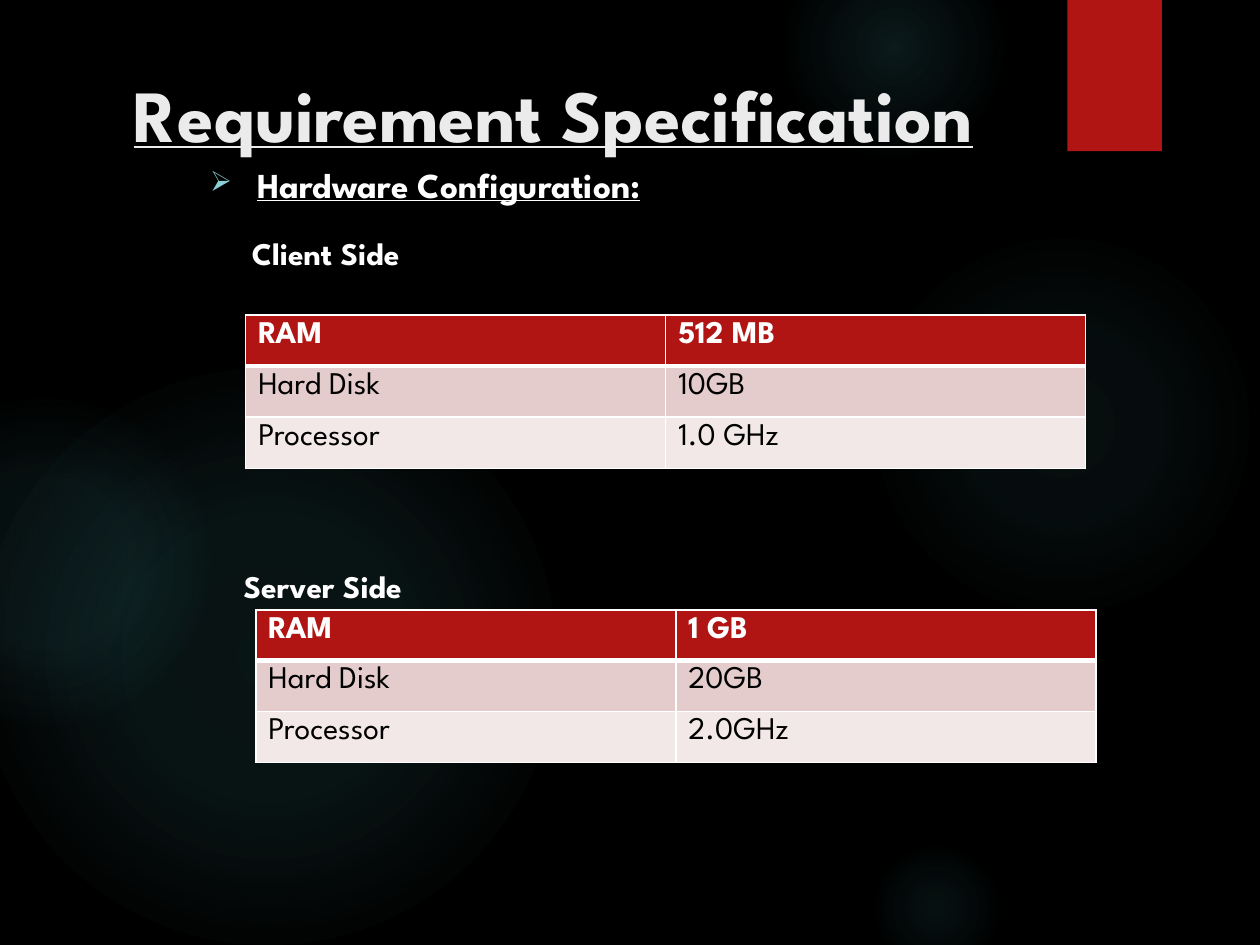
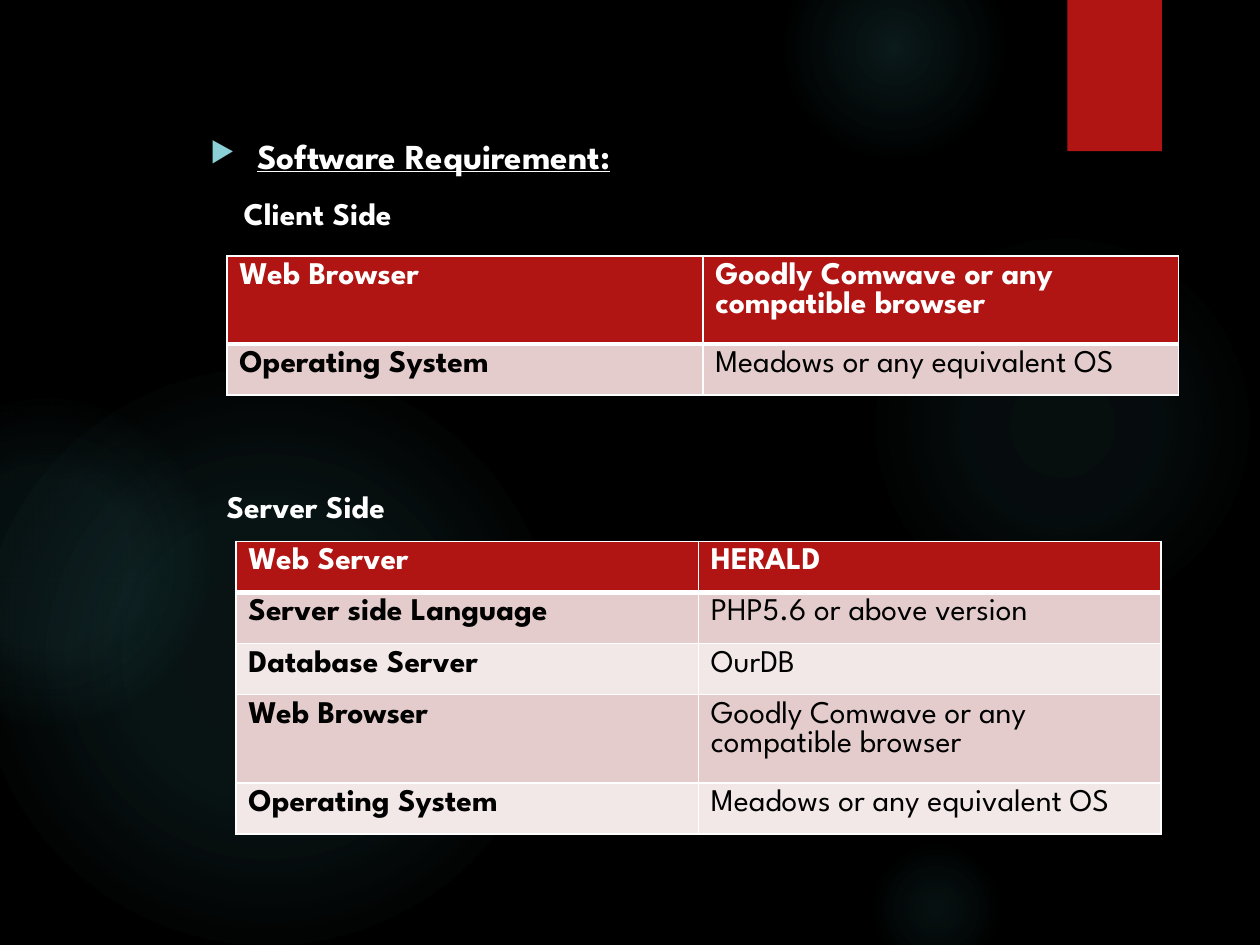
"""Build two slides that list hardware and software requirements in tables."""
from dataclasses import dataclass

from pptx import Presentation
from pptx.dml.color import RGBColor
from pptx.enum.shapes import MSO_SHAPE
from pptx.enum.text import MSO_ANCHOR, PP_ALIGN
from pptx.oxml import parse_xml
from pptx.oxml.ns import nsdecls
from pptx.util import Pt


@dataclass(frozen=True)
class Theme:
    font: str = "League Spartan"
    bullet_font: str = "OpenSymbol"
    background: str = "000000"
    glow: str = "50B9C1"
    accent: str = "B01513"
    title: str = "EBEBEB"
    light: str = "FFFFFF"
    dark: str = "000000"
    bullet: str = "8AD0D6"
    bands: tuple = ("F2E8E7", "E4CCCC")
    title_size: int = 42
    heading_size: int = 20
    text_size: int = 18


theme = Theme()


def style(font, size, color, bold=True, underline=None):
    font.name, font.size = theme.font, Pt(size)
    font.bold, font.underline = bold, underline
    font.color.rgb = RGBColor.from_string(color)


def add_text_box(page, left, top, width, height):
    box = page.shapes.add_textbox(Pt(left), Pt(top), Pt(width), Pt(height))
    frame = box.text_frame
    frame.word_wrap = True
    frame.vertical_anchor = MSO_ANCHOR.TOP
    return frame


glows = [
    (496, 132, 222, ((0, 7), (36, 6), (69, 0))),
    (448, -36, 126, ((0, 14), (36, 7), (73, 0))),
    (496, 480, 78, ((0, 9), (36, 5), (66, 0))),
    (-12, 210, 330, ((0, 11), (36, 10), (75, 0))),
    (-66, 228, 186, ((0, 8), (36, 8), (72, 0))),
]

row = 29.2
tall_row = 40.3
browser = "Goodly Comwave or any compatible browser"
system = "Meadows or any equivalent OS"

slides = [
    {
        "title": "Requirement Specification",
        "top": 90, "height": 402, "bullet": "➢",
        "heading": "Hardware Configuration:",
        "labels": [("Client Side", 23.8, 16), ("Server Side", 19.2, 169)],
        "bold_labels": False,
        "tables": [
            (146.2, 348.5, 240, (24, row, row),
             [("RAM", "1 GB"), ("Hard Disk", "20GB"), ("Processor", "2.0GHz")]),
            (140.4, 180, 240, (row, row, row),
             [("RAM", "512 MB"), ("Hard Disk", "10GB"), ("Processor", "1.0 GHz")]),
        ],
    },
    {
        "title": None,
        "top": 73.4, "height": 419, "bullet": "▶",
        "heading": "Software Requirement:",
        "labels": [("Client Side", 19.2, 10), ("Server Side", 9.5, 145.8)],
        "bold_labels": True,
        "tables": [
            (129.6, 146.2, 272, (tall_row, row),
             [("Web Browser", browser), ("Operating System", system)]),
            (134.8, 309.4, 264.3, (row, row, row, tall_row, row),
             [("Web Server", "HERALD"),
              ("Server side Language", "PHP5.6 or above version"),
              ("Database Server", "OurDB"),
              ("Web Browser", browser),
              ("Operating System", system)]),
        ],
    },
]

deck = Presentation()
deck.slide_width, deck.slide_height = Pt(720), Pt(540)
master_fill = deck.slide_master.background.fill
master_fill.solid()
master_fill.fore_color.rgb = RGBColor.from_string(theme.background)

for content in slides:
    page = deck.slides.add_slide(deck.slide_layouts[6])

    for left, top, size, stops in glows:
        glow = page.shapes.add_shape(MSO_SHAPE.OVAL, Pt(left), Pt(top), Pt(size), Pt(size))
        glow.shadow.inherit = False
        glow.line.fill.background()
        stop_xml = "".join(
            f'<a:gs pos="{position * 1000}"><a:srgbClr val="{theme.glow}">'
            f'<a:alpha val="{opacity * 1000}"/></a:srgbClr></a:gs>'
            for position, opacity in stops)
        gradient = parse_xml(
            f'<a:gradFill {nsdecls("a")}><a:gsLst>{stop_xml}</a:gsLst><a:path path="circle">'
            '<a:fillToRect l="50000" t="50000" r="50000" b="50000"/></a:path></a:gradFill>')
        glow.element.spPr.insert_element_before(gradient, "a:ln", "a:effectLst")

    ribbon = page.shapes.add_shape(MSO_SHAPE.RECTANGLE, Pt(610), Pt(0), Pt(54), Pt(86.4))
    ribbon.shadow.inherit = False
    ribbon.fill.solid()
    ribbon.fill.fore_color.rgb = RGBColor.from_string(theme.accent)
    ribbon.line.fill.background()

    if content["title"]:
        title = add_text_box(page, 38.2, 36, 555.8, 110.2).paragraphs[0]
        title.text = content["title"]
        title.alignment = PP_ALIGN.CENTER
        style(title.font, theme.title_size, theme.title, underline=True)

    body = add_text_box(page, 113, content["top"], 590.4, content["height"])
    heading = body.paragraphs[0]
    heading.text = content["heading"]
    properties = heading._p.get_or_add_pPr()
    properties.set("marL", str(Pt(27)))
    properties.set("indent", str(Pt(-27)))
    for bullet_xml in (
        f'<a:buClr {nsdecls("a")}><a:srgbClr val="{theme.bullet}"/></a:buClr>',
        f'<a:buSzPct {nsdecls("a")} val="80000"/>',
        f'<a:buFont {nsdecls("a")} typeface="{theme.bullet_font}"/>',
        f'<a:buChar {nsdecls("a")} char="{content["bullet"]}"/>',
    ):
        properties.append(parse_xml(bullet_xml))
    style(heading.font, theme.heading_size, theme.light, underline=True)

    for text, indent, gap in content["labels"]:
        label = body.add_paragraph()
        label.text = text
        label.space_before = Pt(gap)
        label._p.get_or_add_pPr().set("marL", str(Pt(indent)))
        style(label.font, theme.text_size, theme.light)

    for left, top, column_width, heights, rows in content["tables"]:
        table = page.shapes.add_table(
            len(rows), 2, Pt(left), Pt(top), Pt(2 * column_width), Pt(sum(heights))).table
        for column in table.columns:
            column.width = Pt(column_width)
        for row_index, values in enumerate(rows):
            table.rows[row_index].height = Pt(heights[row_index])
            is_header = row_index == 0
            fill_color = theme.accent if is_header else theme.bands[row_index % 2]
            text_color = theme.light if is_header else theme.dark
            widths = {"L": 1, "R": 1, "T": 3 if row_index == 1 else 1, "B": 3 if is_header else 1}
            for column_index, value in enumerate(values):
                cell = table.cell(row_index, column_index)
                for side, width in widths.items():
                    cell._tc.get_or_add_tcPr().append(parse_xml(
                        f'<a:ln{side} {nsdecls("a")} w="{Pt(width)}"><a:solidFill>'
                        f'<a:srgbClr val="{theme.light}"/></a:solidFill></a:ln{side}>'))
                cell.fill.solid()
                cell.fill.fore_color.rgb = RGBColor.from_string(fill_color)
                span = cell.text_frame.paragraphs[0].add_run()
                span.text = value
                bold = is_header or (content["bold_labels"] and column_index == 0)
                style(span.font, theme.text_size, text_color, bold)

deck.save("out.pptx")
